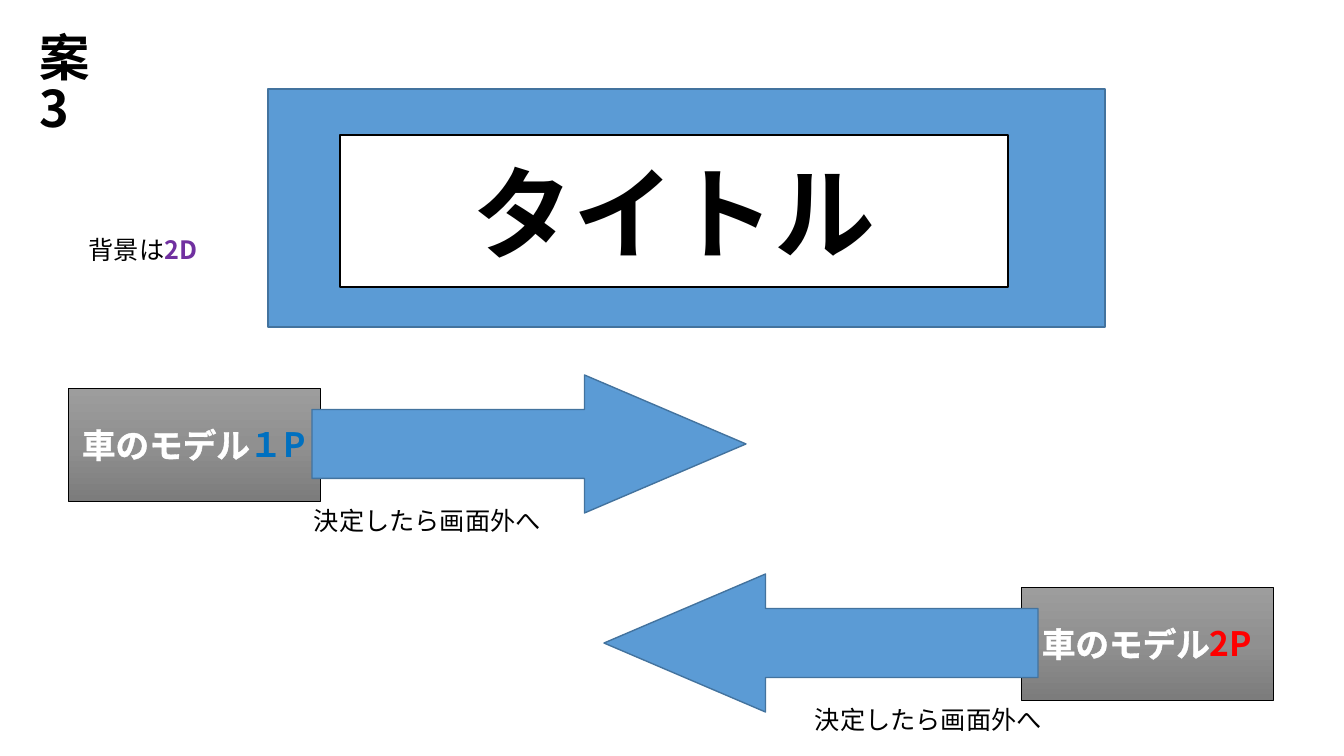
from dataclasses import dataclass

from lxml import etree
from pptx import Presentation
from pptx import util as u
from pptx.dml.color import RGBColor
from pptx.enum import shapes, text
from pptx.oxml.ns import qn

SCALE = 914400 / 100.8  # EMU in one pixel


def px(n):
    return u.Emu(round(n * SCALE))


@dataclass(frozen=True)
class Theme:
    font: str = "Noto Sans CJK JP"
    black: str = "000000"
    white: str = "FFFFFF"
    blue: str = "5B9BD5"
    edge: str = "43739E"
    one: str = "0070C0"
    two: str = "FF0000"
    accent: str = "7030A0"
    metal: tuple = ((0, "9D9D9D"), (50, "909090"), (100, "7C7C7C"))
    note: int = 18
    car: int = 24
    head: int = 36
    title: int = 72


class Deck:
    def __init__(self, theme):
        self.theme = theme
        self.prs = Presentation()
        self.prs.slide_width, self.prs.slide_height = px(1344), px(756)
        self.slide = self.prs.slides.add_slide(self.prs.slide_layouts[6])

    def put(self, shape, parts, size, align, glow=False, gap=None):
        """Fill one paragraph from (words, colour, bold) parts."""
        para = shape.text_frame.paragraphs[0]
        first, *rest = parts
        para.text = first[0]
        for part in rest:
            para.add_run().text = part[0]
        para.alignment = align
        if gap:
            para.line_spacing = gap
        # A line break splits the first part into several runs
        extra = len(para.runs) - len(parts)
        for run, (_, color, bold) in zip(para.runs, [first] * extra + parts):
            font = run.font
            font.name, font.size, font.bold = self.theme.font, u.Pt(size), bold
            font.color.rgb = RGBColor.from_string(color)
            props = run._r.get_or_add_rPr()
            east = etree.Element(qn("a:ea"), typeface=self.theme.font)
            props.find(qn("a:latin")).addnext(east)
            if glow:
                line = etree.Element(qn("a:ln"), w=str(u.Pt(0.75)))
                fill = etree.SubElement(line, qn("a:solidFill"))
                etree.SubElement(fill, qn("a:srgbClr"), val=self.theme.white)
                props.insert(0, line)

    def shape(self, kind, box, fill, edge, width=1):
        item = self.slide.shapes.add_shape(kind, *map(px, box))
        item.shadow.inherit = False
        if isinstance(fill, str):
            item.fill.solid()
            item.fill.fore_color.rgb = RGBColor.from_string(fill)
        else:
            self.blend(item, fill)
        item.line.color.rgb = RGBColor.from_string(edge)
        item.line.width = u.Pt(width)
        item.text_frame.word_wrap = True
        item.text_frame.vertical_anchor = text.MSO_ANCHOR.MIDDLE
        return item

    def blend(self, item, steps):
        """Apply a top-to-bottom gradient."""
        item.fill.gradient()
        grad = item._element.spPr.find(qn("a:gradFill"))
        stops = grad.find(qn("a:gsLst"))
        for stop in list(stops):
            stops.remove(stop)
        for at, color in steps:
            stop = etree.SubElement(stops, qn("a:gs"), pos=str(at * 1000))
            etree.SubElement(stop, qn("a:srgbClr"), val=color)
        grad.find(qn("a:lin")).set("ang", str(90 * 60000))

    def rect(self, box, fill, edge, width=1):
        return self.shape(shapes.MSO_SHAPE.RECTANGLE, box, fill, edge, width)

    def car(self, left, top, player, color):
        t = self.theme
        item = self.rect((left, top, 252, 113), t.metal, t.black, 0.5)
        parts = [("車のモデル", t.white, True), (player, color, True)]
        self.put(item, parts, t.car, text.PP_ALIGN.CENTER, glow=True)

    def arrow(self, left, top, turn=0):
        item = self.shape(shapes.MSO_SHAPE.RIGHT_ARROW, (left, top, 434, 138),
                          self.theme.blue, self.theme.edge)
        item.adjustments[0], item.adjustments[1] = 0.5, 1.17
        item.rotation = turn

    def label(self, box, parts, size, align=text.PP_ALIGN.LEFT, wrap=True):
        item = self.slide.shapes.add_textbox(*map(px, box))
        item.text_frame.word_wrap = wrap
        self.put(item, parts, size, align, gap=0.85)


t = Theme()
deck = Deck(t)

# Cars and title backdrop
deck.car(68, 388, "１P", t.one)
deck.rect((268, 89, 837, 238), t.blue, t.edge)
deck.car(1021, 587, "2P", t.two)

# Arrows and their notes
deck.arrow(312, 375)
for left, top in ((304, 505), (805, 704)):
    deck.label((left, top, 260, 40), [("決定したら画面外へ", t.black, False)], t.note)
deck.arrow(604, 574, turn=180)

# Title
title = deck.rect((340, 135, 668, 152), t.white, t.black)
deck.put(title, [("タイトル", t.black, True)], t.title, text.PP_ALIGN.CENTER)

# Plan number and background note
deck.label((30, 30, 106, 72), [("案\v3", t.black, True)], t.head, wrap=False)
deck.label((43, 234, 200, 40),
           [("背景は", t.black, False), ("2D", t.accent, True)],
           t.note, text.PP_ALIGN.CENTER)

deck.prs.save("out.pptx")
